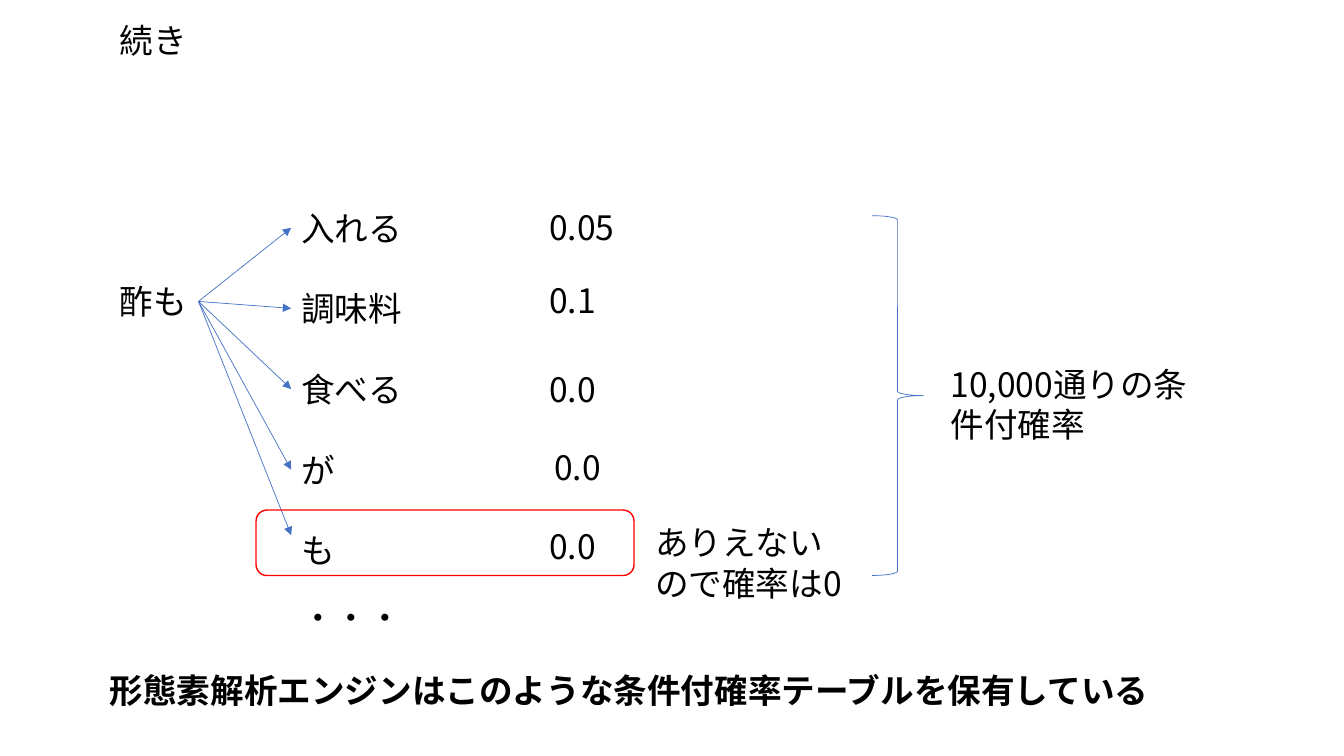
from lxml import etree
from pptx import Presentation
from pptx.dml.color import RGBColor
from pptx.enum.shapes import MSO_CONNECTOR, MSO_SHAPE
from pptx.oxml.ns import qn
from pptx.util import Pt

FONT = "Noto Sans CJK JP"
BLACK, BLUE, RED = "000000", "4472C4", "FF0000"

heading = ("続き", 78.5, 10.8, 63.4)
context = ("酢も", 78.5, 197.3, 63.4)
ellipsis = ("・・・", 208, 422.6, 87.1)
candidates = [
    ("入れる", "0.05", 385.2, 144),
    ("調味料", "0.1", 385.2, 196.6),
    ("食べる", "0.0", 385.2, 259.9),
    ("が", "0.0", 388.8, 315.4),
    ("も", "0.0", 385.2, 372.2),
]
notes = [
    ("10,000通りの条件付確率", 671.8, 256.3, 185.8, 65.5),
    ("ありえないので確率は0", 460.8, 369.4, 154.8, 65.5),
]
conclusion = ("形態素解析エンジンはこのような条件付確率テーブルを保有している", 71.3, 475.2, 786.2)
outlines = [
    (MSO_SHAPE.RIGHT_BRACE, 622.8, 154.1, 36.7, 257, BLUE, 0.5),
    (MSO_SHAPE.ROUNDED_RECTANGLE, 182.9, 364.3, 270, 46.8, RED, 1),
]

LINE_HEIGHT = 36
WORD_LEFT, WORD_TOP, WORD_STEP = 208, 144.7, 57.6
FAN_LEFT, FAN_TOP, LAST_ARROW_TOP = 141.8, 215.3, 382.3


def colour(value):
    return RGBColor.from_string(value)


def add_text(text, left, top, width, height=LINE_HEIGHT, wrap=False, bold=False):
    frame = slide.shapes.add_textbox(Pt(left), Pt(top), Pt(width), Pt(height)).text_frame
    frame.word_wrap = wrap
    paragraph = frame.paragraphs[0]
    paragraph.text = text
    font = paragraph.font
    font.size = Pt(24)
    font.bold = bold
    font.color.rgb = colour(BLACK)
    font.name = FONT
    latin = paragraph._p.find(".//" + qn("a:latin"))
    east_asian = etree.Element(qn("a:ea"), typeface=FONT)
    latin.addnext(east_asian)


def add_arrow(right, bottom):
    arrow = slide.shapes.add_connector(
        MSO_CONNECTOR.STRAIGHT, Pt(FAN_LEFT), Pt(FAN_TOP), Pt(right), Pt(bottom))
    arrow.line.color.rgb = colour(BLUE)
    arrow.line.width = Pt(0.5)
    etree.SubElement(arrow.line._get_or_add_ln(), qn("a:tailEnd"), type="triangle")
    etree.SubElement(arrow._element.spPr, qn("a:effectLst"))


def add_outline(kind, left, top, width, height, line_colour, weight):
    outline = slide.shapes.add_shape(kind, Pt(left), Pt(top), Pt(width), Pt(height))
    outline.shadow.inherit = False
    outline.fill.background()
    outline.line.color.rgb = colour(line_colour)
    outline.line.width = Pt(weight)


presentation = Presentation()
presentation.slide_width = Pt(960)
presentation.slide_height = Pt(540)
slide = presentation.slides.add_slide(presentation.slide_layouts[6])

for label in (heading, context, ellipsis):
    add_text(*label)

for row, (word, probability, probability_left, probability_top) in enumerate(candidates):
    word_top = WORD_TOP + row * WORD_STEP
    add_text(word, WORD_LEFT, word_top, 15 + 24 * len(word))
    add_text(probability, probability_left, probability_top, 15 * len(probability) + 8)
    is_last = row == len(candidates) - 1
    add_arrow(WORD_LEFT, LAST_ARROW_TOP if is_last else word_top + LINE_HEIGHT / 2)

for outline in outlines:
    add_outline(*outline)

for note in notes:
    add_text(*note, wrap=True)

add_text(*conclusion, wrap=True, bold=True)

presentation.save("out.pptx")
